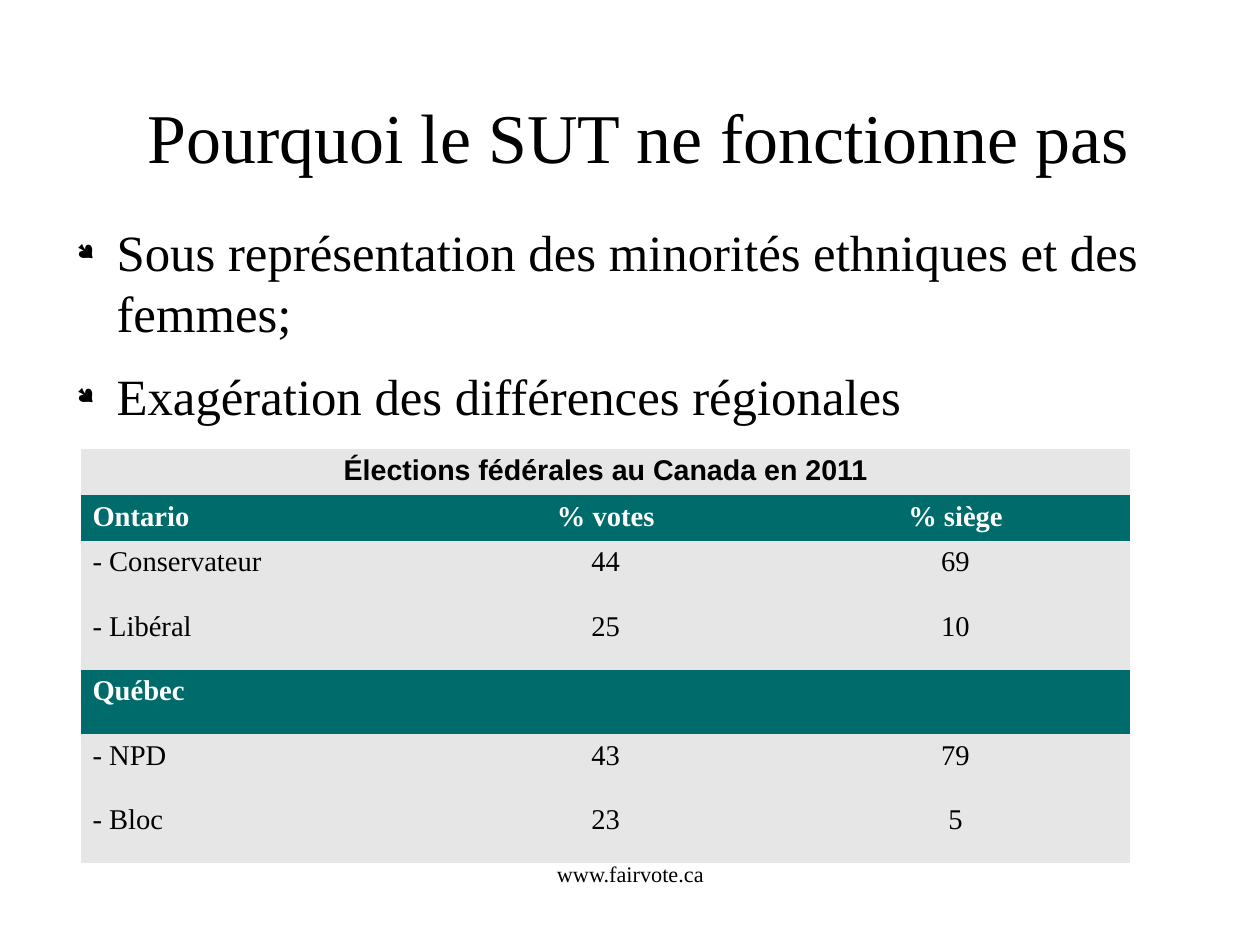
from dataclasses import dataclass

import pptx
import pptx.dml.color
import pptx.enum.text
import pptx.oxml
import pptx.oxml.ns
import pptx.slide
import pptx.table
import pptx.text.text
import pptx.util

Inches = pptx.util.Inches
Pt = pptx.util.Pt
RGBColor = pptx.dml.color.RGBColor
PP_ALIGN = pptx.enum.text.PP_ALIGN
MSO_ANCHOR = pptx.enum.text.MSO_ANCHOR

BLACK = RGBColor(0x00, 0x00, 0x00)
WHITE = RGBColor(0xFF, 0xFF, 0xFF)
TEAL = RGBColor(0x00, 0x6B, 0x6B)
GREY = RGBColor(0xE6, 0xE6, 0xE6)
SERIF = "Times New Roman"
CM_PER_INCH = 2.54


@dataclass
class TextBlock:
    box: tuple[float, float, float, float]
    lines: tuple[str, ...]
    size: int
    align: PP_ALIGN = PP_ALIGN.CENTER
    anchor: MSO_ANCHOR = MSO_ANCHOR.TOP
    bulleted: bool = False


@dataclass
class ResultRow:
    texts: tuple[str, str, str]
    fill: RGBColor = GREY
    color: RGBColor = BLACK
    bold: bool = False


BLOCKS = (
    TextBlock((0.63, 0.55, 9.92, 1.28), ("Pourquoi le SUT ne fonctionne pas",),
              44, anchor=MSO_ANCHOR.MIDDLE),
    TextBlock((0.55, 1.93, 9.7, 5.46),
              ("Sous représentation des minorités ethniques et des femmes;",
               "Exagération des différences régionales"),
              32, align=PP_ALIGN.LEFT, bulleted=True),
    TextBlock((3.77, 7.53, 3.49, 0.57), ("www.fairvote.ca",), 14),
)

TABLE_TITLE = "Élections fédérales au Canada en 2011"
TABLE_HEIGHT = 3.6
HEADER_HEIGHT = 0.39
HEADER_ROWS = 2
NO_TABLE_STYLE = "{2D5ABB26-0587-4C30-8999-92F81FD0307C}"
ROWS = (
    ResultRow(("Ontario", "% votes", "% siège"), TEAL, WHITE, True),
    ResultRow(("- Conservateur", "44", "69")),
    ResultRow(("- Libéral", "25", "10")),
    ResultRow(("Québec", "", ""), TEAL, WHITE, True),
    ResultRow(("- NPD", "43", "79")),
    ResultRow(("- Bloc", "23", "5")),
)


def format_font(font: pptx.text.text.Font, size: int, color: RGBColor,
                name: str = SERIF, bold: bool = False) -> None:
    for key, value in {"size": Pt(size), "name": name, "bold": bold}.items():
        setattr(font, key, value)
    font.color.rgb = color


def add_bullet(p: pptx.text.text._Paragraph) -> None:
    pPr = p._p.get_or_add_pPr()
    pPr.set("marL", str(Inches(0.47)))
    pPr.set("indent", str(Inches(-0.35)))
    for tag in ('buSzPct {} val="45000"',
                'buFont {} typeface="Wingdings" charset="2"',
                'buChar {} char="●"'):
        pPr.append(pptx.oxml.parse_xml(
            f"<a:{tag.format(pptx.oxml.ns.nsdecls('a'))}/>"))
    p.space_after = Pt(14.2)


def draw_block(s: pptx.slide.Slide, block: TextBlock) -> None:
    tf = s.shapes.add_textbox(*map(Inches, block.box)).text_frame
    settings = {"word_wrap": True, "vertical_anchor": block.anchor,
                "margin_left": 0, "margin_top": 0,
                "margin_right": 0, "margin_bottom": 0}
    for key, value in settings.items():
        setattr(tf, key, value)
    for i, line in enumerate(block.lines):
        p = tf.add_paragraph() if i else tf.paragraphs[0]
        p.alignment = block.align
        if block.bulleted:
            add_bullet(p)
        r = p.add_run()
        r.text = line
        format_font(r.font, block.size, BLACK)


def fill_cell(cell: pptx.table._Cell, text: str, fill: RGBColor, color: RGBColor,
              align: PP_ALIGN, name: str, bold: bool) -> None:
    cell.fill.solid()
    cell.fill.fore_color.rgb = fill
    p = cell.text_frame.paragraphs[0]
    p.alignment = align
    if text:
        r = p.add_run()
        r.text = text
        format_font(r.font, 18, color, name, bold)


def draw_table(s: pptx.slide.Slide) -> None:
    count = len(ROWS) + 1
    result_height = ((TABLE_HEIGHT - HEADER_ROWS * HEADER_HEIGHT)
                     / (count - HEADER_ROWS))
    table = s.shapes.add_table(count, 3, Inches(0.71), Inches(3.93),
                               Inches(9.18), Inches(TABLE_HEIGHT)).table
    for key in ("first_row", "horz_banding"):
        setattr(table, key, False)
    style = table._tbl.tblPr.find(pptx.oxml.ns.qn("a:tableStyleId"))
    style.text = NO_TABLE_STYLE
    for i, table_row in enumerate(table.rows):
        table_row.height = Inches(HEADER_HEIGHT if i < HEADER_ROWS
                                  else result_height)
    table.cell(0, 0).merge(table.cell(0, 2))
    fill_cell(table.cell(0, 0), TABLE_TITLE, GREY, BLACK,
              PP_ALIGN.CENTER, "Arial", True)
    for i, row in enumerate(ROWS, 1):
        for j, text in enumerate(row.texts):
            align = PP_ALIGN.CENTER if j else PP_ALIGN.LEFT
            fill_cell(table.cell(i, j), text, row.fill, row.color,
                      align, SERIF, row.bold)


def main() -> None:
    prs = pptx.Presentation()
    prs.slide_width = Inches(28 / CM_PER_INCH)
    prs.slide_height = Inches(21 / CM_PER_INCH)
    s = prs.slides.add_slide(prs.slide_layouts[6])
    for block in BLOCKS:
        draw_block(s, block)
    draw_table(s)
    prs.save("out.pptx")


if __name__ == "__main__":
    main()
